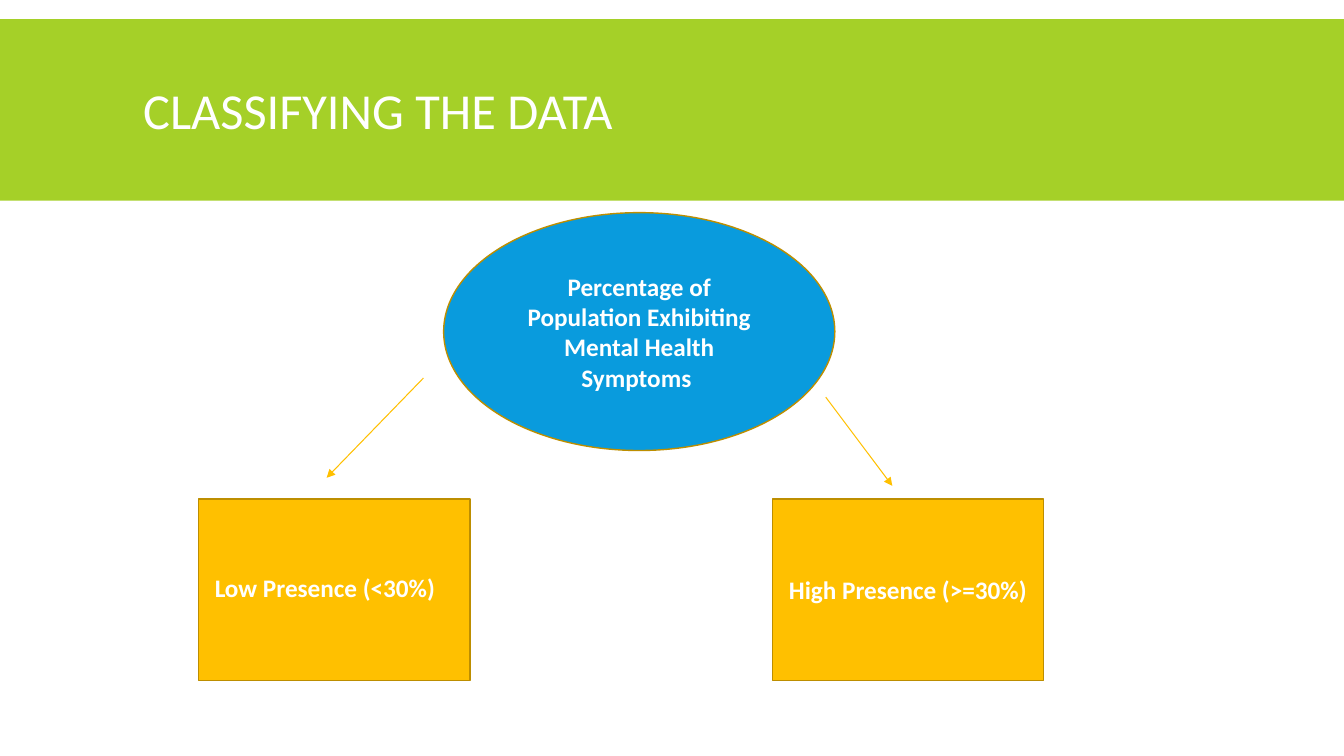
import dataclasses

import pptx
import pptx.dml.color
import pptx.enum.shapes
import pptx.enum.text
import pptx.oxml.ns
import pptx.util
from lxml import etree
from pptx.util import Inches

SHAPE = pptx.enum.shapes.MSO_SHAPE
ALIGN = pptx.enum.text.PP_ALIGN


@dataclasses.dataclass(frozen=True)
class Theme:
    """Hold the colours, font and sizes of the slide."""
    font: str = "Calibri"
    white: str = "FFFFFF"
    green: str = "A5D028"
    blue: str = "099BDD"
    gold: str = "FFC000"
    edge: str = "BD8E00"
    head: int = 36
    body: int = 18


THEME = Theme()


def color(code):
    """Turn a hex code into a colour."""
    return pptx.dml.color.RGBColor.from_string(code)


def write(shape, text, size=THEME.body, bold=True, align=ALIGN.CENTER,
          lines=1.0, after=0, inset=0.1):
    """Put formatted text in a shape."""
    frame = shape.text_frame
    frame.word_wrap = True
    frame.auto_size = pptx.enum.text.MSO_AUTO_SIZE.NONE
    frame.vertical_anchor = pptx.enum.text.MSO_ANCHOR.MIDDLE
    frame.margin_left = Inches(inset)
    para = frame.paragraphs[0]
    para.alignment = align
    para.line_spacing = lines
    para.space_after = pptx.util.Pt(after)
    run = para.add_run()
    run.text = text
    run.font.name = THEME.font
    run.font.size = pptx.util.Pt(size)
    run.font.bold = bold
    run.font.color.rgb = color(THEME.white)


def block(slide, kind, box, fill, edge=None):
    """Add a filled shape, outlined if an edge colour is given."""
    shape = slide.shapes.add_shape(kind, *map(Inches, box))
    shape.shadow.inherit = False
    shape.fill.solid()
    shape.fill.fore_color.rgb = color(fill)
    if edge:
        shape.line.color.rgb = color(edge)
        shape.line.width = pptx.util.Pt(1)
    else:
        shape.line.fill.background()
    return shape


def arrow(slide, start, end):
    """Add a straight arrow from start to end."""
    line = slide.shapes.add_connector(
        pptx.enum.shapes.MSO_CONNECTOR.STRAIGHT, *map(Inches, start + end))
    line.line.color.rgb = color(THEME.gold)
    line.line.width = pptx.util.Pt(0.75)
    name = pptx.oxml.ns.qn
    etree.SubElement(line.line._get_or_add_ln(), name("a:tailEnd"),
                     type="triangle")
    etree.SubElement(line.element.spPr, name("a:effectLst"))


def header(slide, text):
    """Format the title and lay a band behind it."""
    title = slide.shapes.title
    title.left, title.top = Inches(1.32), Inches(0.31)
    title.width, title.height = Inches(11.54), Inches(1.65)
    write(title, text, size=THEME.head, bold=False, align=ALIGN.LEFT,
          lines=0.85)
    band = block(slide, SHAPE.RECTANGLE, (0, 0.19, 13.33, 1.8), THEME.green)
    title.element.addprevious(band.element)


def main():
    """Build and save the slide."""
    deck = pptx.Presentation()
    deck.slide_width, deck.slide_height = Inches(13.33), Inches(7.5)
    slide = deck.slides.add_slide(deck.slide_layouts[5])
    header(slide, "CLASSIFYING THE DATA")

    low = block(slide, SHAPE.RECTANGLE, (1.97, 4.95, 2.69, 1.8),
                THEME.gold, THEME.edge)
    write(low, "Low Presence (<30%)", align=ALIGN.LEFT, lines=0.9, after=2,
          inset=0.16)
    root = block(slide, SHAPE.OVAL, (4.4, 2.11, 3.88, 2.36),
                 THEME.blue, THEME.edge)
    write(root, "Percentage of Population Exhibiting Mental Health Symptoms ")
    high = block(slide, SHAPE.RECTANGLE, (7.66, 4.95, 2.69, 1.8),
                 THEME.gold, THEME.edge)
    write(high, "High Presence (>=30%)")

    arrow(slide, (8.19, 3.94), (8.85, 4.82))
    arrow(slide, (4.2, 3.75), (3.24, 4.74))
    deck.save("out.pptx")


if __name__ == "__main__":
    main()
